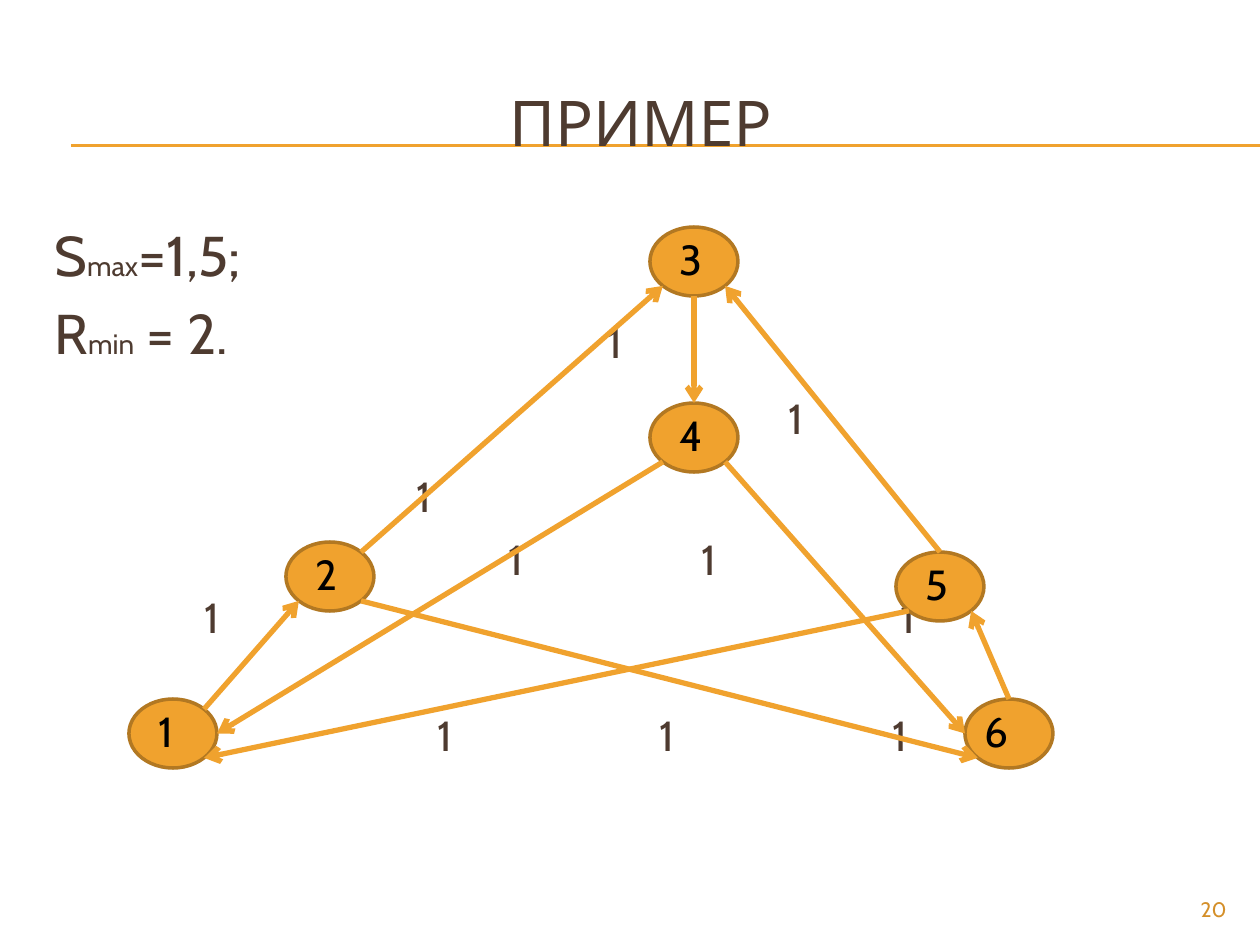
"""Builds the example slide: a directed graph of six nodes with unit weights."""
from dataclasses import dataclass
from math import cos, radians, sin

from lxml.etree import SubElement
from pptx import Presentation
from pptx.dml.color import RGBColor
from pptx.enum.shapes import MSO_CONNECTOR as Connector, MSO_SHAPE as Shape
from pptx.enum.text import MSO_ANCHOR as Anchor, PP_ALIGN as Align
from pptx.oxml.ns import qn
from pptx.util import Emu, Pt

EMU_PER_PX = 914400 / 126


def px(length):
    return Emu(round(length * EMU_PER_PX))


@dataclass(frozen=True)
class Theme:
    font: str = "Cabin"
    text: str = "4E3B30"
    node_text: str = "000000"
    accent: str = "F0A22E"
    outline: str = "B27822"
    number: str = "D48F29"
    title_size: int = 36
    body_size: int = 32
    label_size: int = 24
    sub_size: int = 16
    number_size: int = 12
    rule_width: float = 0.75
    edge_width: int = 3
    outline_width: int = 2


class SlideBuilder:
    def __init__(self, slide, theme):
        self.shapes = slide.shapes
        self.theme = theme

    def add_span(self, para, text, size, color):
        span = para.add_run()
        span.text = text
        span.font.name = self.theme.font
        span.font.size = Pt(size)
        span.font.color.rgb = RGBColor.from_string(color)

    def text(self, left, top, width, height, paras, align=Align.LEFT, anchor=Anchor.TOP):
        box = self.shapes.add_textbox(px(left), px(top), px(width), px(height))
        frame = box.text_frame
        frame.word_wrap = True
        frame.vertical_anchor = anchor
        for index, spans in enumerate(paras):
            para = frame.add_paragraph() if index else frame.paragraphs[0]
            para.alignment = align
            if index:
                para.space_before = Pt(6.4)
            for span in spans:
                self.add_span(para, *span)

    def label(self, text, center_x, center_y):
        spans = [(text, self.theme.label_size, self.theme.text)]
        self.text(center_x - 30, center_y - 32, 60, 64, [spans], Align.CENTER, Anchor.MIDDLE)

    def node(self, text, left, top, shift):
        theme = self.theme
        oval = self.shapes.add_shape(
            Shape.OVAL, px(left), px(top), px(NODE_WIDTH), px(NODE_HEIGHT))
        oval.shadow.inherit = False
        oval.fill.solid()
        oval.fill.fore_color.rgb = RGBColor.from_string(theme.accent)
        oval.line.color.rgb = RGBColor.from_string(theme.outline)
        oval.line.width = Pt(theme.outline_width)
        frame = oval.text_frame
        frame.word_wrap = False
        frame.vertical_anchor = Anchor.MIDDLE
        frame.margin_left = frame.margin_top = 0
        frame.margin_right = px(2 * shift)
        frame.margin_bottom = px(6)
        para = frame.paragraphs[0]
        para.alignment = Align.CENTER
        self.add_span(para, text, theme.label_size, theme.node_text)

    def line(self, start, end, width, arrow=False):
        line = self.shapes.add_connector(
            Connector.STRAIGHT, *(px(value) for value in (*start, *end)))
        line.line.color.rgb = RGBColor.from_string(self.theme.accent)
        line.line.width = Pt(width)
        properties = line._element.spPr
        if arrow:
            SubElement(properties.find(qn("a:ln")), qn("a:tailEnd"), type="arrow")
        SubElement(properties, qn("a:effectLst"))


NODE_WIDTH, NODE_HEIGHT = 88, 69
NODES = {
    "3": (650, 227, 3),
    "4": (650, 403, 3),
    "2": (286, 542, 3),
    "1": (129, 699, 7),
    "6": (965, 699, 12),
    "5": (896, 552, 3),
}
TOP, LEFT, LOWER_LEFT, BOTTOM = 90, 180, 225, 270
LOWER_RIGHT, RIGHT, UPPER_RIGHT = 315, 0, 45
EDGES = [
    ("3", BOTTOM, "4", TOP),
    ("4", LOWER_LEFT, "1", RIGHT),
    ("1", UPPER_RIGHT, "2", LOWER_LEFT),
    ("2", UPPER_RIGHT, "3", LOWER_LEFT),
    ("4", LOWER_RIGHT, "6", LEFT),
    ("6", TOP, "5", LOWER_RIGHT),
    ("5", TOP, "3", LOWER_RIGHT),
    ("2", LOWER_RIGHT, "6", LOWER_LEFT),
    ("5", LOWER_LEFT, "1", LOWER_RIGHT),
]
WEIGHT_CENTERS = [
    (615, 342), (796, 418), (424, 496), (516, 559), (709, 559),
    (212, 617), (908, 617), (445, 735), (667, 735), (900, 735),
]


def rim_point(name, angle):
    left, top, _ = NODES[name]
    turn = radians(angle)
    return (left + NODE_WIDTH / 2 * (1 + cos(turn)),
            top + NODE_HEIGHT / 2 * (1 - sin(turn)))


def main():
    theme = Theme()
    deck = Presentation()
    deck.slide_width, deck.slide_height = px(1260), px(945)
    builder = SlideBuilder(deck.slides.add_slide(deck.slide_layouts[6]), theme)

    for rule_y in (145, 146):
        builder.line((71, rule_y), (1260, rule_y), theme.rule_width)
    builder.text(42, 63, 1197, 116, [[("ПРИМЕР", theme.title_size, theme.text)]],
                 Align.CENTER, Anchor.MIDDLE)
    formulas = [("S", "max", "=1,5;"), ("R", "min", " = 2.")]
    sizes = (theme.body_size, theme.sub_size, theme.body_size)
    builder.text(42, 214, 300, 170, [
        [(text, size, theme.text) for text, size in zip(formula, sizes)]
        for formula in formulas])
    for center in WEIGHT_CENTERS:
        builder.label("1", *center)
    builder.text(1134, 892, 105, 34, [[("20", theme.number_size, theme.number)]],
                 Align.RIGHT, Anchor.MIDDLE)

    for name, place in NODES.items():
        builder.node(name, *place)
    for source, source_angle, target, target_angle in EDGES:
        builder.line(rim_point(source, source_angle), rim_point(target, target_angle),
                     theme.edge_width, arrow=True)
    deck.save("out.pptx")


if __name__ == "__main__":
    main()
